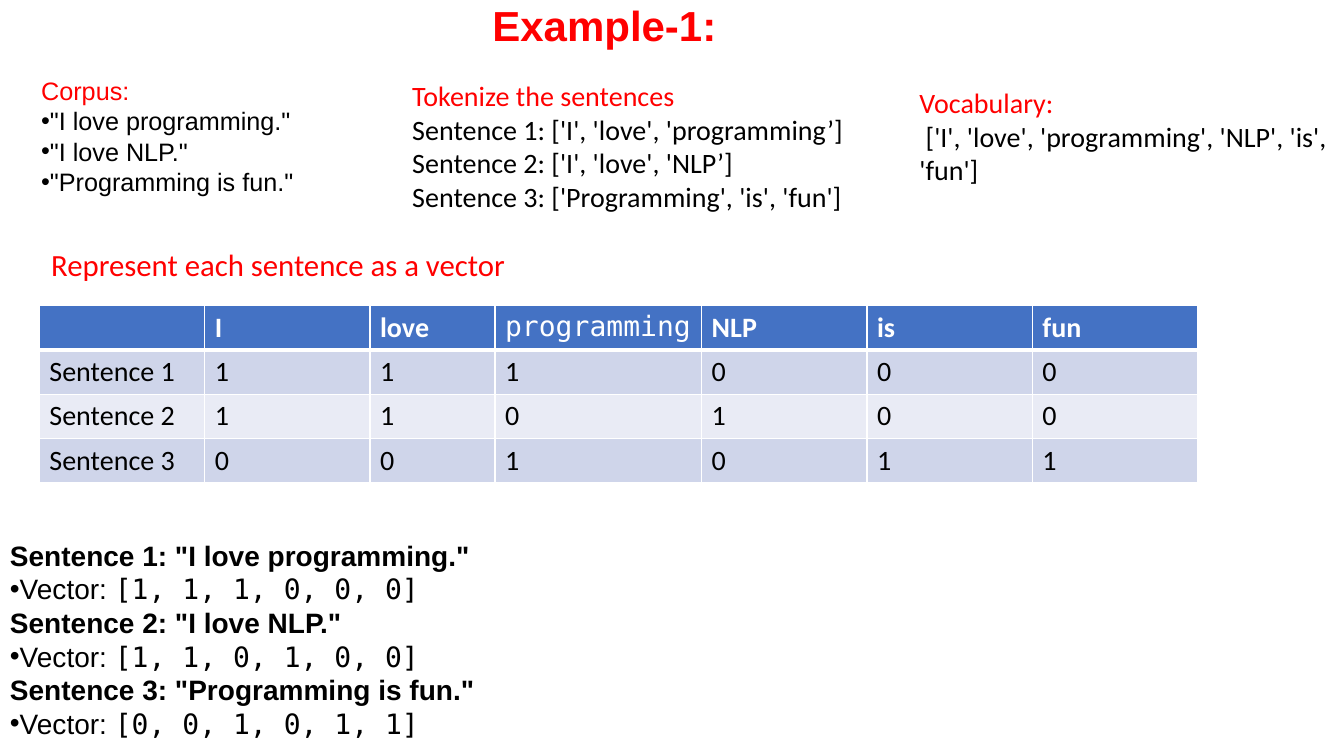
"""Build a slide that turns three sentences into bag-of-words vectors."""
from lxml import etree
from pptx import Presentation
from pptx import util as u
from pptx.dml.color import RGBColor
from pptx.enum import text
from pptx.oxml import ns

RED, BLACK, WHITE = "FF0000", "000000", "FFFFFF"
HEADER_BLUE, BAND_DARK, BAND_LIGHT = "4472C4", "CFD5EA", "E9EBF5"
SANS, BODY, MONO = "Arial", "Calibri", "DejaVu Sans Mono"

CORPUS = ['"I love programming."', '"I love NLP."', '"Programming is fun."']
TOKENS = [
    "['I', 'love', 'programming’]",
    "['I', 'love', 'NLP’]",
    "['Programming', 'is', 'fun']",
]
VOCABULARY = ["I", "love", "programming", "NLP", "is", "fun"]
VECTORS = [[1, 1, 1, 0, 0, 0], [1, 1, 0, 1, 0, 0], [0, 0, 1, 0, 1, 1]]
COLUMN_WIDTHS = [1.64, 1.64, 1.24, 2.05, 1.64, 1.64, 1.64]
ROW_HEIGHT = 0.44


def color(value):
    """Return a colour from a hex string."""
    return RGBColor.from_string(value)


def add_run(paragraph, words, size=20, font=BODY, ink=BLACK, bold=False):
    """Add formatted text to a paragraph."""
    run = paragraph.add_run()
    run.text = words
    run.font.size = u.Pt(size)
    run.font.name = font
    run.font.bold = bold
    run.font.color.rgb = color(ink)


def add_bullet(paragraph):
    """Put a round bullet directly before a paragraph."""
    properties = paragraph._p.get_or_add_pPr()
    etree.SubElement(properties, ns.qn("a:buFont"), typeface=SANS)
    etree.SubElement(properties, ns.qn("a:buChar"), char="•")


def plain_line(words, **style):
    """Describe a line of one run without a bullet."""
    return False, [(words, style)]


def bullet_line(*runs):
    """Describe a bulleted line of (words, style) runs."""
    return True, runs


def add_text(slide, box, lines, align=text.PP_ALIGN.LEFT):
    """Add a text box that holds plain and bulleted lines."""
    shape = slide.shapes.add_textbox(*[u.Inches(length) for length in box])
    frame = shape.text_frame
    frame.word_wrap = True
    frame.auto_size = text.MSO_AUTO_SIZE.SHAPE_TO_FIT_TEXT
    for index, (bulleted, runs) in enumerate(lines):
        paragraph = frame.add_paragraph() if index else frame.paragraphs[0]
        paragraph.alignment = align
        if bulleted:
            add_bullet(paragraph)
        for words, style in runs:
            add_run(paragraph, words, **style)


def add_borders(cell, bottom):
    """Draw white cell borders with the given bottom width in points."""
    properties = cell._tc.get_or_add_tcPr()
    for side, width in (("L", 1), ("R", 1), ("T", 1), ("B", bottom)):
        line = etree.SubElement(properties, ns.qn(f"a:ln{side}"), w=str(u.Pt(width)))
        fill = etree.SubElement(line, ns.qn("a:solidFill"))
        etree.SubElement(fill, ns.qn("a:srgbClr"), val=WHITE)


def set_cell(cell, words, fill, bottom=1, **style):
    """Set the borders, fill and text of a table cell."""
    add_borders(cell, bottom)
    cell.fill.solid()
    cell.fill.fore_color.rgb = color(fill)
    if words:
        add_run(cell.text_frame.paragraphs[0], words, **style)


def add_vector_table(slide, left, top):
    """Add the table of word counts per sentence."""
    row_count = len(VECTORS) + 1
    table = slide.shapes.add_table(
        row_count, len(COLUMN_WIDTHS), u.Inches(left), u.Inches(top),
        u.Inches(sum(COLUMN_WIDTHS)), u.Inches(row_count * ROW_HEIGHT)).table
    for column, width in zip(table.columns, COLUMN_WIDTHS):
        column.width = u.Inches(width)
    for row in table.rows:
        row.height = u.Inches(ROW_HEIGHT)

    for cell, word in zip(table.rows[0].cells, [""] + VOCABULARY):
        is_code = word == "programming"
        set_cell(cell, word, HEADER_BLUE, bottom=3, ink=WHITE,
                 font=MONO if is_code else BODY, bold=not is_code)

    for number, vector in enumerate(VECTORS, 1):
        band = BAND_DARK if number % 2 else BAND_LIGHT
        for cell, value in zip(table.rows[number].cells, [f"Sentence {number}"] + vector):
            set_cell(cell, str(value), band)


def add_corpus(slide):
    """List the sentences of the corpus."""
    lines = [plain_line("Corpus:", size=18, font=SANS, ink=RED)]
    for sentence in CORPUS:
        lines.append(bullet_line((sentence, {"size": 18, "font": SANS})))
    add_text(slide, (0.31, 0.7, 3.19, 1.31), lines)


def add_tokens(slide):
    """List the tokens of each sentence."""
    lines = [plain_line("Tokenize the sentences", ink=RED)]
    for number, tokens in enumerate(TOKENS, 1):
        lines.append(plain_line(f"Sentence {number}: {tokens}"))
    add_text(slide, (3.99, 0.73, 4.78, 1.45), lines)


def add_vocabulary(slide):
    """Show the vocabulary as a list."""
    lines = [plain_line("Vocabulary:", ink=RED), plain_line(f" {VOCABULARY}")]
    add_text(slide, (9.02, 0.8, 4.31, 1.11), lines)


def add_results(slide):
    """Show each sentence with its vector."""
    lines = []
    for number, (sentence, vector) in enumerate(zip(CORPUS, VECTORS), 1):
        lines.append(plain_line(f"Sentence {number}: {sentence}", font=SANS, bold=True))
        lines.append(bullet_line(("Vector: ", {"font": SANS}), (str(vector), {"font": MONO})))
    add_text(slide, (0, 5.29, 12.89, 2.12), lines)


def main():
    """Build and save the slide."""
    presentation = Presentation()
    presentation.slide_width = u.Inches(13.33)
    presentation.slide_height = u.Inches(7.5)
    slide = presentation.slides.add_slide(presentation.slide_layouts[6])

    add_vector_table(slide, 0.39, 3.03)
    add_corpus(slide)
    add_vocabulary(slide)
    add_text(slide, (0.41, 2.39, 6.67, 0.47),
             [plain_line("Represent each sentence as a vector", size=22, ink=RED)])
    add_tokens(slide)
    add_results(slide)
    add_text(slide, (4.75, -0.05, 2.49, 0.61),
             [plain_line("Example-1:", size=30, font=SANS, ink=RED, bold=True)],
             align=text.PP_ALIGN.CENTER)

    presentation.save("out.pptx")


if __name__ == "__main__":
    main()
